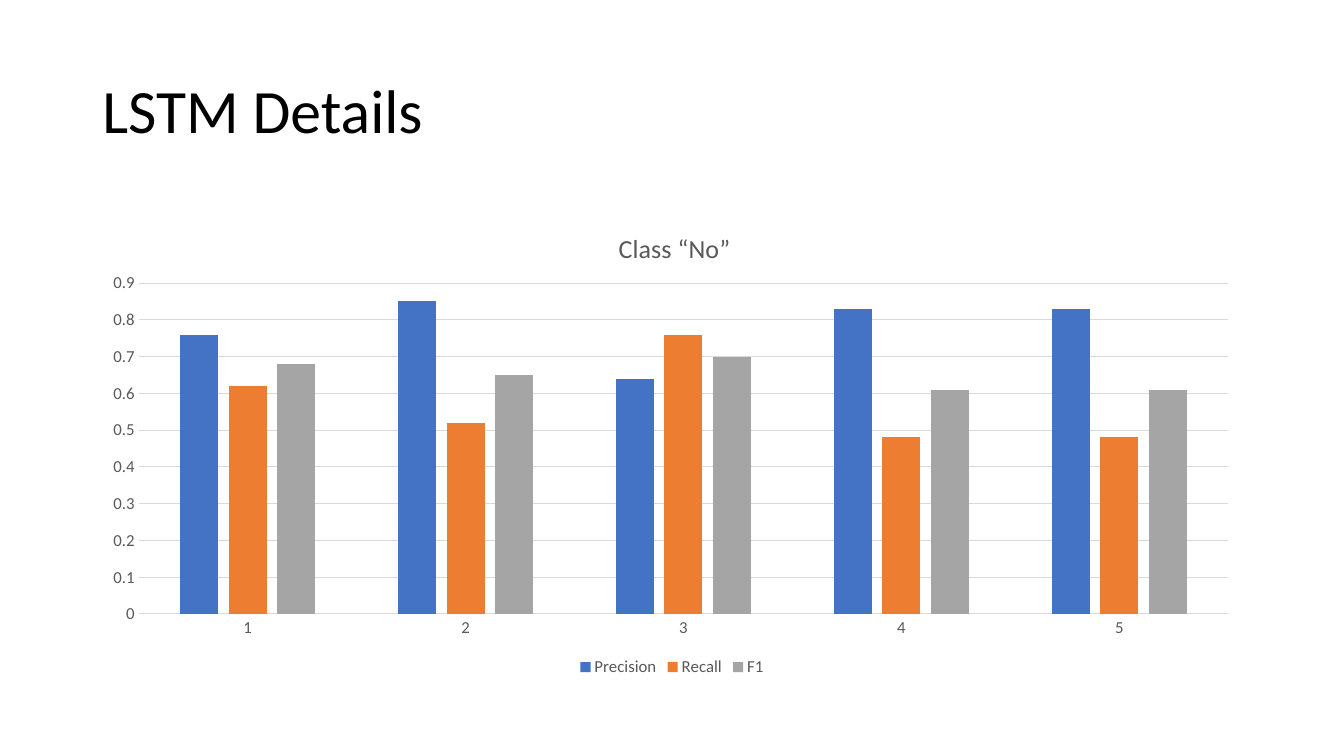
from dataclasses import dataclass

from lxml.etree import SubElement
from pptx import Presentation
from pptx.chart.data import CategoryChartData as ChartData
from pptx.dml.color import RGBColor as Rgb
from pptx.enum.chart import XL_CHART_TYPE as Kind
from pptx.enum.chart import XL_LEGEND_POSITION as Spot
from pptx.enum.chart import XL_TICK_MARK as Tick
from pptx.enum.text import MSO_ANCHOR as Anchor
from pptx.oxml.ns import qn
from pptx.util import Pt

HUES = {"ink": "000000", "gray": "595959", "rule": "D9D9D9",
        "blue": "4472C4", "orange": "ED7D31", "silver": "A5A5A5"}
FACE = "Calibri"


@dataclass
class Score:
    """One measure with its value for each fold."""
    name: str
    vals: tuple[float, ...]
    hue: str


SCORES = [
    Score("Precision", (0.76, 0.85, 0.64, 0.83, 0.83), "blue"),
    Score("Recall", (0.62, 0.52, 0.76, 0.48, 0.48), "orange"),
    Score("F1", (0.68, 0.65, 0.7, 0.61, 0.61), "silver"),
]


def apply(item, form: dict) -> None:
    """Set each format value on the item."""
    for key, val in form.items():
        setattr(item, key, val)


def ink(font, size: float, hue: str) -> None:
    """Give a font its face, size and colour."""
    apply(font, {"name": FACE, "size": Pt(size), "bold": False})
    font.color.rgb = Rgb.from_string(HUES[hue])


def rule(line) -> None:
    """Draw a thin pale line."""
    line.width = Pt(0.75)
    line.color.rgb = Rgb.from_string(HUES["rule"])


def place(node, rank: int, **spots: float) -> None:
    """Fix a chart part by fractions of the chart, as child number rank."""
    for old in node.findall(qn("c:layout")):
        node.remove(old)
    lay = SubElement(node, qn("c:layout"))
    node.insert(rank, lay)
    man = SubElement(lay, qn("c:manualLayout"))
    if "w" in spots:
        SubElement(man, qn("c:layoutTarget")).set("val", "inner")
    for tag in ("xMode", "yMode"):
        SubElement(man, qn(f"c:{tag}")).set("val", "edge")
    for tag, val in spots.items():
        SubElement(man, qn(f"c:{tag}")).set("val", str(val))


def head(slide, text: str) -> None:
    """Write the slide heading."""
    box = slide.shapes.add_textbox(Pt(66), Pt(28.75), Pt(828), Pt(104.4))
    frame = box.text_frame
    apply(frame, {"word_wrap": True, "vertical_anchor": Anchor.MIDDLE})
    para = frame.paragraphs[0]
    apply(para, {"text": text, "line_spacing": 0.9})
    ink(para.runs[0].font, 44, "ink")


def graph(slide, title: str, scores: list[Score]) -> None:
    """Chart the scores as clustered columns."""
    data = ChartData()
    data.categories = [str(n + 1) for n in range(len(scores[0].vals))]
    for score in scores:
        data.add_series(score.name, score.vals)
    chart = slide.shapes.add_chart(
        Kind.COLUMN_CLUSTERED, Pt(66), Pt(144), Pt(828), Pt(342.6), data).chart
    ink(chart.font, 10, "ink")

    apply(chart, {"has_title": True, "has_legend": True})
    para = chart.chart_title.text_frame.paragraphs[0]
    para.text = title
    ink(para.runs[0].font, 18.6, "gray")
    apply(chart.legend, {"position": Spot.BOTTOM, "include_in_layout": False})
    ink(chart.legend.font, 12, "gray")

    plot = chart.plots[0]
    apply(plot, {"gap_width": 219, "overlap": -27, "vary_by_categories": False})
    for bars, score in zip(plot.series, scores):
        bars.format.fill.solid()
        bars.format.fill.fore_color.rgb = Rgb.from_string(HUES[score.hue])

    base, side = chart.category_axis, chart.value_axis
    for axis in (base, side):
        apply(axis, {"major_tick_mark": Tick.NONE, "minor_tick_mark": Tick.NONE})
        ink(axis.tick_labels.font, 12, "gray")
    rule(base.format.line)
    side.format.line.fill.background()
    apply(side, {"minimum_scale": 0, "maximum_scale": 0.9, "major_unit": 0.1})
    apply(side.tick_labels, {"number_format": "General",
                             "number_format_is_linked": False})
    rule(side.major_gridlines.format.line)

    tree = chart.element.chart
    place(tree.find(qn("c:title")), 1, x=0.45, y=0.05)
    place(tree.plotArea, 0, x=0.04, y=0.17, w=0.94, h=0.69)


def main() -> None:
    """Build and save the slide."""
    deck = Presentation()
    apply(deck, {"slide_width": Pt(960), "slide_height": Pt(540)})
    slide = deck.slides.add_slide(deck.slide_layouts[6])
    head(slide, "LSTM Details")
    graph(slide, "Class “No”", SCORES)
    deck.save("out.pptx")


main()
